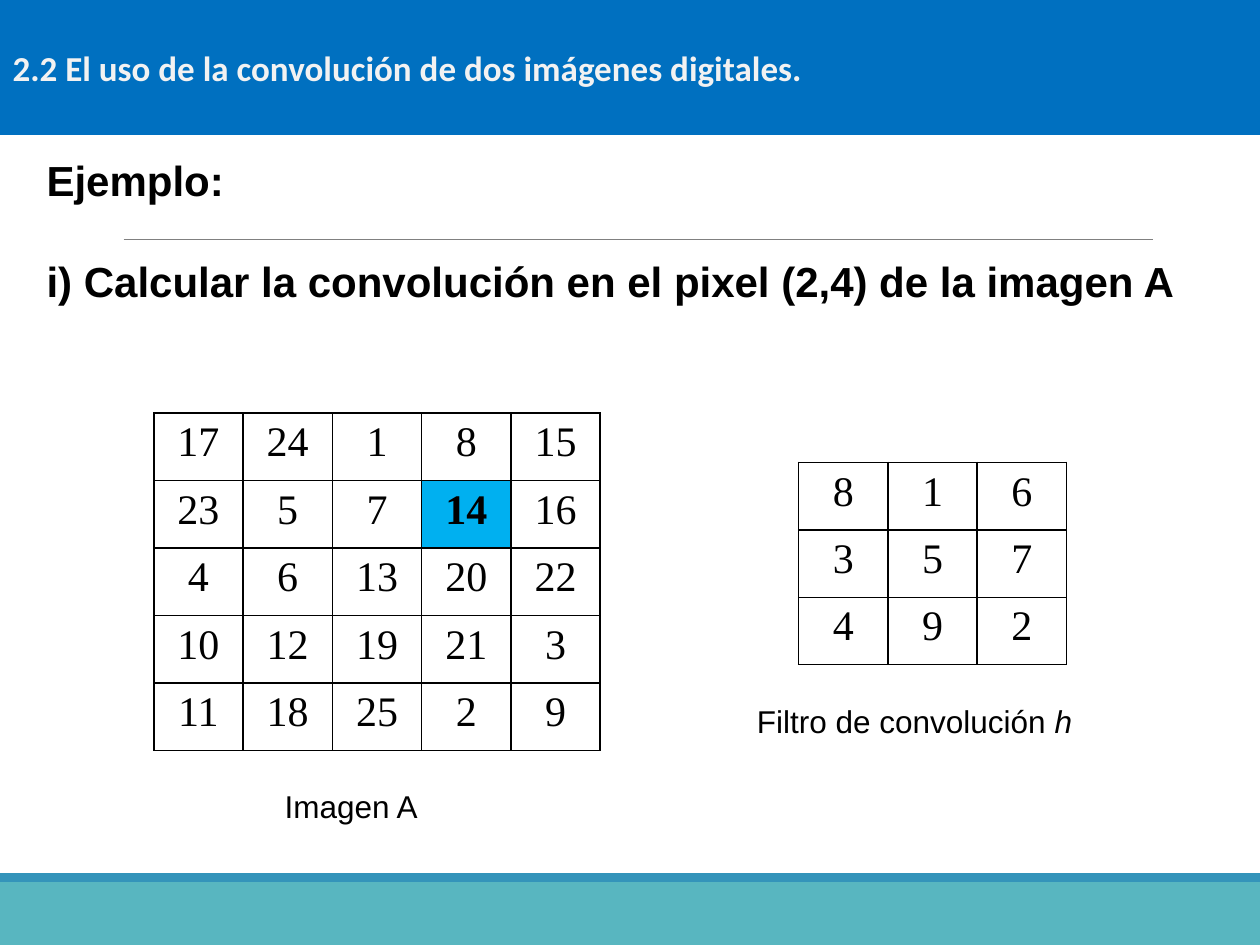
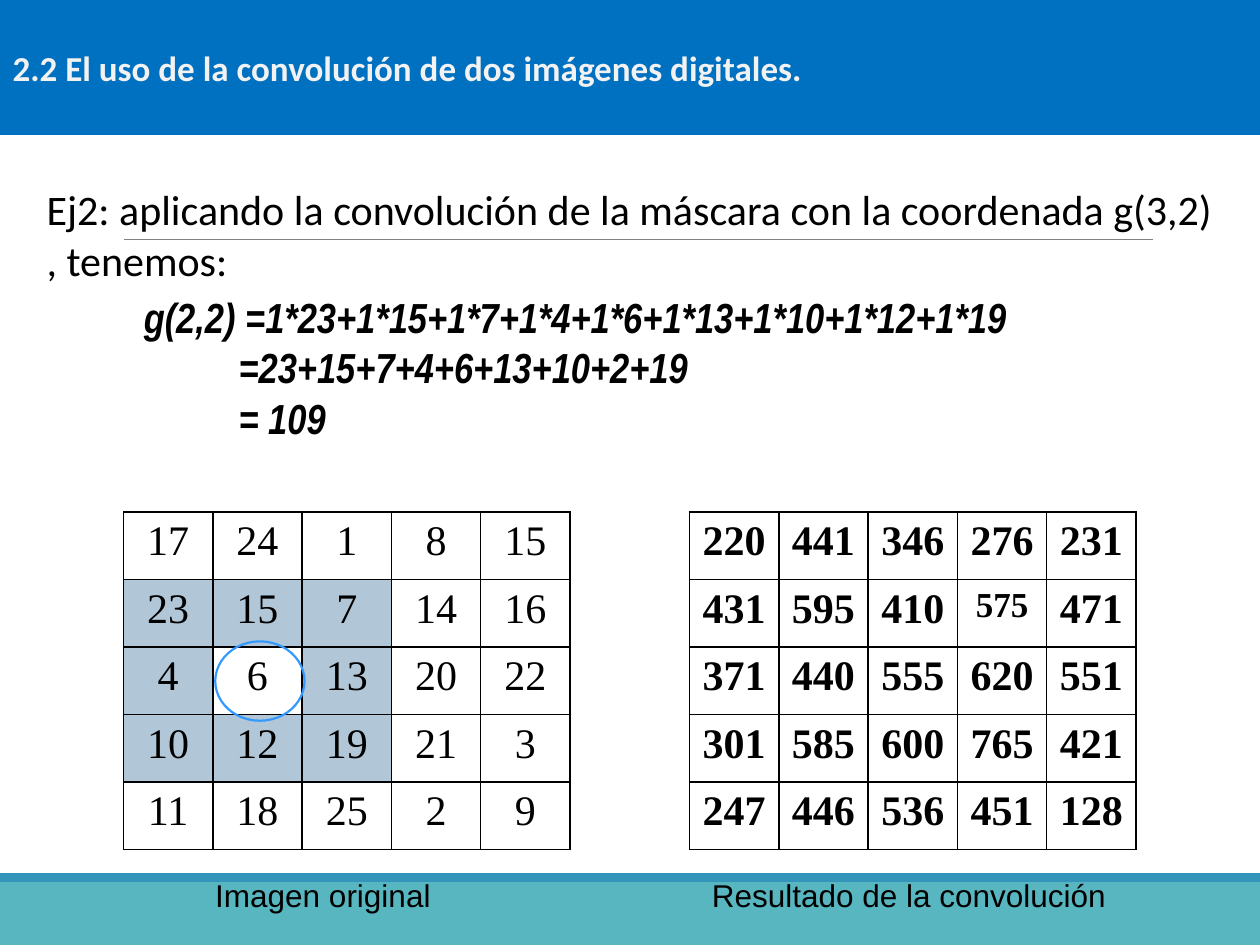
"""Builds two slides with worked examples of the convolution of digital images."""
from lxml.etree import SubElement
from pptx import Presentation
from pptx.dml.color import RGBColor
from pptx.enum.shapes import MSO_CONNECTOR as Connector, MSO_SHAPE as Shape
from pptx.enum.text import MSO_ANCHOR as Anchor, MSO_AUTO_SIZE as AutoSize, PP_ALIGN as Align
from pptx.oxml import parse_xml
from pptx.oxml.ns import nsdecls, qn
from pptx.util import Cm, Pt

rgb = RGBColor.from_string

BLACK, WHITE = "000000", "FFFFFF"
TITLE_BLUE, TITLE_TEXT = "0070C0", "F2F2F2"
FOOTER_TEAL, FOOTER_BLUE, RULE_GREY = "58B6C0", "3494BA", "808080"
PIXEL_BLUE, MASK_BLUE, RING_BLUE = "00B0F0", "B1C6D7", "3399FF"
TITLE = "2.2 El uso de la convolución de dos imágenes digitales."
CELL_WIDTH, CELL_HEIGHT = 1.8, 1.36


def style(font, name, size, color=BLACK, bold=False, italic=False):
    font.name, font.size = name, Pt(size)
    font.bold, font.italic = bold, italic
    font.color.rgb = rgb(color)


def add_grid(slide, left, top, values, fills, bold_cells, small_cells):
    rows, cols = len(values), len(values[0])
    grid = slide.shapes.add_table(rows, cols, Cm(left), Cm(top),
                                  Cm(cols * CELL_WIDTH), Cm(rows * CELL_HEIGHT)).table
    grid.first_row = grid.horz_banding = False
    for column in grid.columns:
        column.width = Cm(CELL_WIDTH)
    for r, row in enumerate(values):
        grid.rows[r].height = Cm(CELL_HEIGHT)
        for c, value in enumerate(row):
            cell = grid.cell(r, c)
            cell.text_frame.text = str(value)
            paragraph = cell.text_frame.paragraphs[0]
            paragraph.alignment = Align.CENTER
            style(paragraph.runs[0].font, "Times New Roman",
                  20 if (r, c) in small_cells else 24, bold=(r, c) in bold_cells)
            properties = cell._tc.get_or_add_tcPr()
            for side in "LRTB":
                properties.append(parse_xml(
                    f'<a:ln{side} {nsdecls("a")} w="12700"><a:solidFill>'
                    f'<a:srgbClr val="{BLACK}"/></a:solidFill></a:ln{side}>'))
            cell.fill.solid()
            cell.fill.fore_color.rgb = rgb(fills.get((r, c), WHITE))


image_a = [[17, 24, 1, 8, 15], [23, 5, 7, 14, 16], [4, 6, 13, 20, 22],
           [10, 12, 19, 21, 3], [11, 18, 25, 2, 9]]
image_masked = [list(row) for row in image_a]
image_masked[1][1] = 15
kernel = [[8, 1, 6], [3, 5, 7], [4, 9, 2]]
convolved = [[220, 441, 346, 276, 231], [431, 595, 410, 575, 471],
             [371, 440, 555, 620, 551], [301, 585, 600, 765, 421],
             [247, 446, 536, 451, 128]]
all_cells = [(r, c) for r in range(5) for c in range(5)]
mask_fills = {(r, c): MASK_BLUE for r in (1, 2, 3) for c in (0, 1, 2) if (r, c) != (2, 1)}

heading = ("Arial", True, False)
prose = ("Calibri", False, False)
formula = ("Arial Narrow", True, True)

examples = [
    {"body_box": (0.69, 3, 24.3, 5.2),
     "body": [("Ejemplo:", heading, 0, 0),
              ("i) Calcular la convolución en el pixel (2,4) de la imagen A", heading, 0, 28.8)],
     "grids": [(3.1, 8.33, image_a, {(1, 3): PIXEL_BLUE}, [(1, 3)], []),
               (16.1, 9.32, kernel, {}, [], [])],
     "captions": [("Imagen A", "", 5.49, 15.75, 3.23),
                  ("Filtro de convolución ", "h", 15.01, 14.02, 6.93)]},
    {"body_box": (0.69, 3.58, 24, 5.56),
     "body": [("Ej2: aplicando la convolución de la máscara con la coordenada g(3,2) , tenemos:",
               prose, 0, 0),
              ("g(2,2) =1*23+1*15+1*7+1*4+1*6+1*13+1*10+1*12+1*19", formula, 1.96, 4),
              ("=23+15+7+4+6+13+10+2+19", formula, 3.87, 0),
              ("= 109", formula, 3.87, 0)],
     "grids": [(2.49, 10.32, image_masked, mask_fills, [], []),
               (13.9, 10.32, convolved, {}, all_cells, [(1, 3)])],
     "captions": [("Imagen original", "", 4.09, 17.53, 4.9),
                  ("Resultado de la convolución", "", 14.1, 17.53, 8.53)]},
]

deck = Presentation()
deck.slide_width, deck.slide_height = Cm(25.4), Cm(19.05)

for example in examples:
    slide = deck.slides.add_slide(deck.slide_layouts[5])

    title = slide.shapes.title
    title.left, title.top, title.width, title.height = 0, 0, deck.slide_width, Cm(2.72)
    title.fill.solid()
    title.fill.fore_color.rgb = rgb(TITLE_BLUE)
    title.text_frame.text = TITLE
    title.text_frame.auto_size = AutoSize.NONE
    title.text_frame.vertical_anchor = Anchor.MIDDLE
    title.text_frame.paragraphs[0].alignment = Align.LEFT
    style(title.text_frame.paragraphs[0].runs[0].font, "Calibri", 20, TITLE_TEXT, bold=True)

    for top, height, color in [(17.78, 1.27, FOOTER_TEAL), (17.6, 0.18, FOOTER_BLUE)]:
        band = slide.shapes.add_shape(Shape.RECTANGLE, 0, Cm(top), deck.slide_width, Cm(height))
        band.shadow.inherit = False
        band.fill.solid()
        band.fill.fore_color.rgb = rgb(color)
        band.line.fill.background()

    rule = slide.shapes.add_connector(Connector.STRAIGHT, Cm(2.49), Cm(4.83), Cm(23.24), Cm(4.83))
    rule.line.color.rgb = rgb(RULE_GREY)
    rule.line.width = Pt(0.5)
    SubElement(rule._element.spPr, qn("a:effectLst"))

    body = slide.shapes.add_textbox(*map(Cm, example["body_box"])).text_frame
    body.word_wrap = True
    body.text = "\n".join(line[0] for line in example["body"])
    for paragraph, (_, (name, bold, italic), indent, gap) in zip(body.paragraphs, example["body"]):
        paragraph.alignment = Align.JUSTIFY
        paragraph.line_spacing = Pt(28.8)
        paragraph.space_before = Pt(gap)
        paragraph._p.get_or_add_pPr().set("marL", str(Cm(indent)))
        style(paragraph.runs[0].font, name, 24, bold=bold, italic=italic)

    for grid in example["grids"]:
        add_grid(slide, *grid)

    for label, symbol, left, top, width in example["captions"]:
        caption = slide.shapes.add_textbox(Cm(left), Cm(top), Cm(width), Cm(1.02)).text_frame
        caption.word_wrap = False
        caption.text = label
        style(caption.paragraphs[0].runs[0].font, "Arial", 18)
        if symbol:
            variable = caption.paragraphs[0].add_run()
            variable.text = symbol
            style(variable.font, "Arial", 18, italic=True)

mask_center = deck.slides[1].shapes.add_shape(Shape.OVAL, Cm(4.34), Cm(12.93), Cm(1.8), Cm(1.6))
mask_center.shadow.inherit = False
mask_center.fill.background()
mask_center.line.color.rgb = rgb(RING_BLUE)
mask_center.line.width = Pt(1.25)

deck.save("out.pptx")
